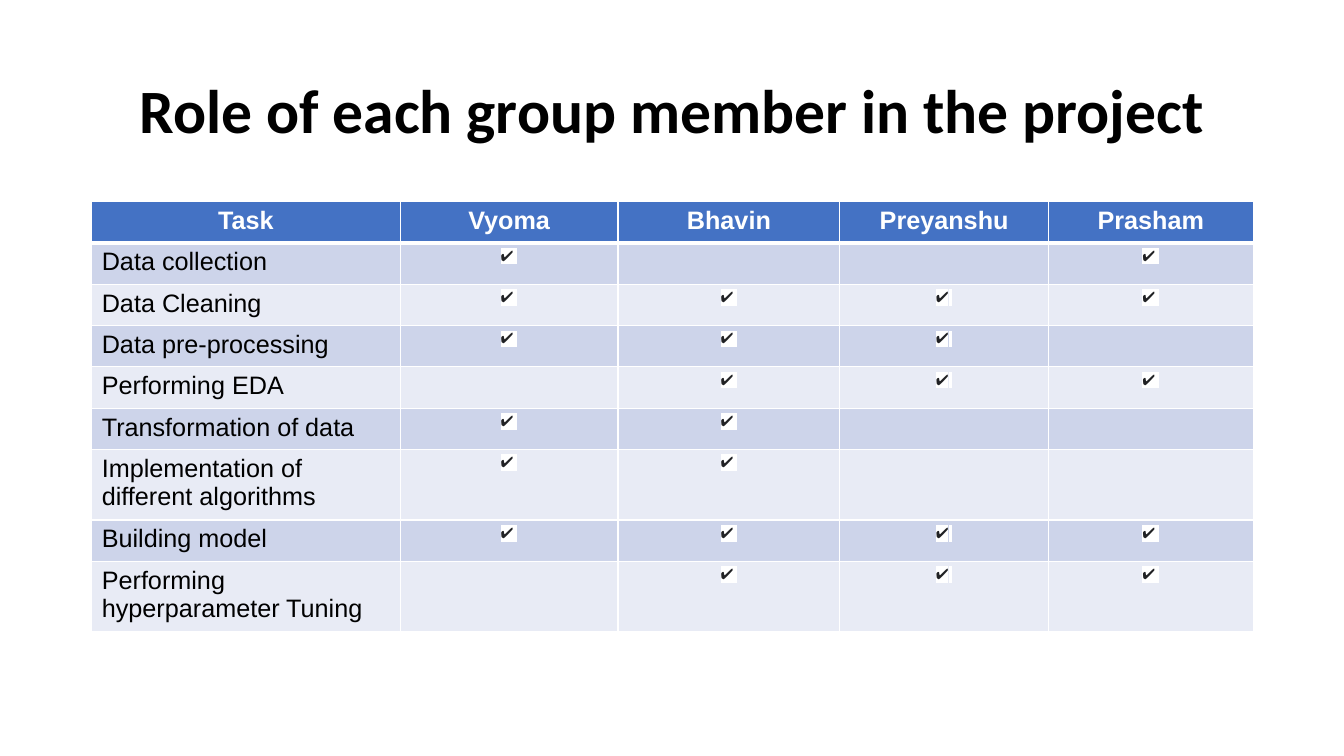
import pptx
import pptx.util
import pptx.dml.color
import pptx.enum.text
import pptx.oxml
import pptx.oxml.ns

RGBColor = pptx.dml.color.RGBColor
Inches, Pt = pptx.util.Inches, pptx.util.Pt
PP_ALIGN = pptx.enum.text.PP_ALIGN

BLACK = RGBColor(0x00, 0x00, 0x00)
WHITE = RGBColor(0xFF, 0xFF, 0xFF)
INK = RGBColor(0x20, 0x21, 0x24)
BLUE = RGBColor(0x44, 0x72, 0xC4)
BANDS = (RGBColor(0xCD, 0xD4, 0xEA), RGBColor(0xE8, 0xEB, 0xF5))

TITLE = "Role of each group member in the project"
TASK_HEADING = "Task"
MEMBERS = ("Vyoma", "Bhavin", "Preyanshu", "Prasham")
TASKS = (
    ("Data collection", ("Vyoma", "Prasham")),
    ("Data Cleaning", MEMBERS),
    ("Data pre-processing", ("Vyoma", "Bhavin", "Preyanshu")),
    ("Performing EDA", ("Bhavin", "Preyanshu", "Prasham")),
    ("Transformation of data", ("Vyoma", "Bhavin")),
    ("Implementation of different algorithms", ("Vyoma", "Bhavin")),
    ("Building model", MEMBERS),
    ("Performing hyperparameter Tuning", ("Bhavin", "Preyanshu", "Prasham")),
)
COLUMN_WIDTHS = (3.06, 2.16, 2.2, 2.07, 2.03)
ROW_HEIGHT = 0.41


def add_run(p, text, size, color, bold=False, font="Arial", highlight=None):
    r = p.add_run()
    r.text = text
    r.font.size = Pt(size)
    r.font.bold = bold
    r.font.name = font
    r.font.color.rgb = color
    if highlight is not None:
        fill = r._r.rPr.find(pptx.oxml.ns.qn("a:solidFill"))
        fill.addnext(pptx.oxml.parse_xml(
            f'<a:highlight {pptx.oxml.ns.nsdecls("a")}>'
            f'<a:srgbClr val="{highlight}"/></a:highlight>'))


def style_cell(cell, color, top=1, bottom=1):
    cell.fill.solid()
    cell.fill.fore_color.rgb = color
    sides = (("lnL", 1), ("lnR", 1), ("lnT", top), ("lnB", bottom))
    for i, (side, width) in enumerate(sides):
        cell._tc.tcPr.insert(i, pptx.oxml.parse_xml(
            f'<a:{side} {pptx.oxml.ns.nsdecls("a")} w="{Pt(width)}">'
            f'<a:solidFill><a:srgbClr val="{WHITE}"/></a:solidFill></a:{side}>'))


def add_title(s):
    tf = s.shapes.add_textbox(Inches(0.92), Inches(0.4), Inches(11.5), Inches(1.45)).text_frame
    tf.word_wrap = True
    tf.vertical_anchor = pptx.enum.text.MSO_ANCHOR.MIDDLE
    p = tf.paragraphs[0]
    p.alignment = PP_ALIGN.CENTER
    p.line_spacing = 0.9
    add_run(p, TITLE, 44, BLACK, True, "Calibri")


def add_roles(s):
    rows = len(TASKS) + 1
    table = s.shapes.add_table(
        rows, len(COLUMN_WIDTHS), Inches(0.91), Inches(2),
        Inches(sum(COLUMN_WIDTHS)), Inches(rows * ROW_HEIGHT)).table
    for column, width in zip(table.columns, COLUMN_WIDTHS):
        column.width = Inches(width)
    for row in table.rows:
        row.height = Inches(ROW_HEIGHT)

    for c, heading in enumerate((TASK_HEADING,) + MEMBERS):
        cell = table.cell(0, c)
        style_cell(cell, BLUE, bottom=3)
        p = cell.text_frame.paragraphs[0]
        p.alignment = PP_ALIGN.CENTER
        add_run(p, heading, 18, WHITE, True)

    for i, (task, people) in enumerate(TASKS, 1):
        for c in range(len(COLUMN_WIDTHS)):
            cell = table.cell(i, c)
            style_cell(cell, BANDS[(i - 1) % 2], top=3 if i == 1 else 1)
            p = cell.text_frame.paragraphs[0]
            if c == 0:
                add_run(p, task, 18, BLACK)
            elif MEMBERS[c - 1] in people:
                p.alignment = PP_ALIGN.CENTER
                add_run(p, "✔", 10.5, INK, True, highlight=WHITE)
                add_run(p, " ", 10.5, INK, highlight=WHITE)


def main():
    prs = pptx.Presentation()
    prs.slide_width, prs.slide_height = Inches(13.33), Inches(7.5)
    s = prs.slides.add_slide(prs.slide_layouts[6])
    add_title(s)
    add_roles(s)
    prs.save("out.pptx")


if __name__ == "__main__":
    main()
